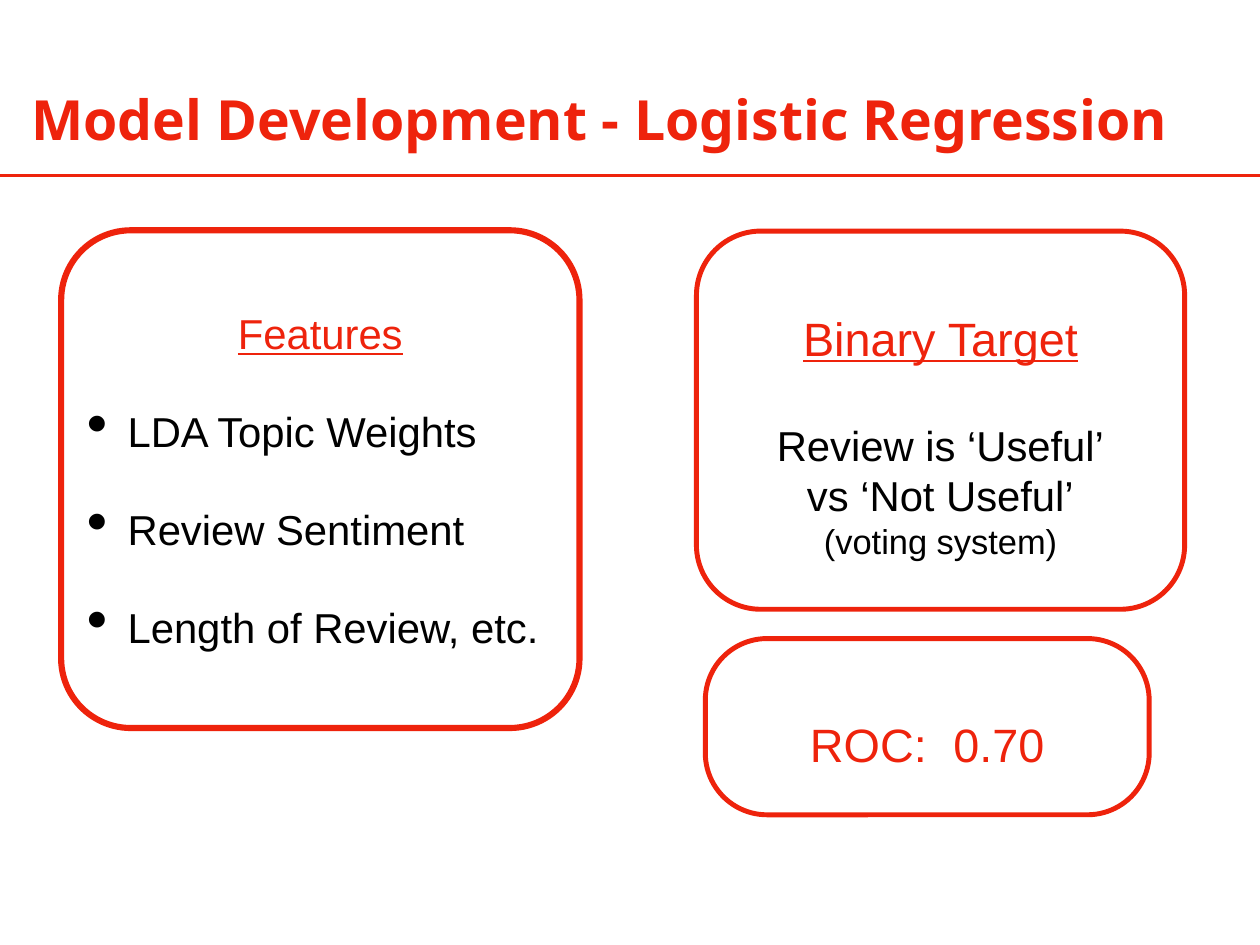
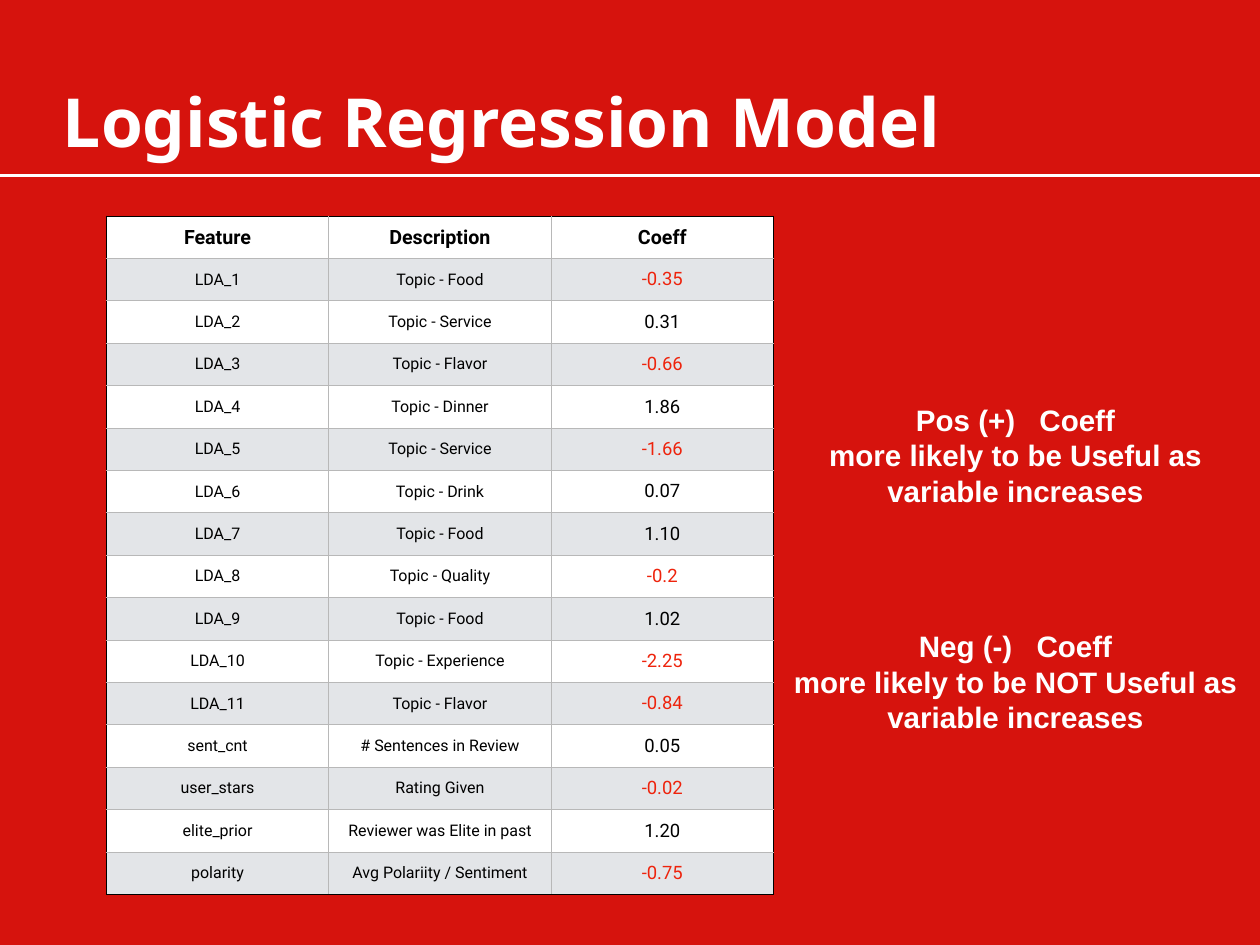
from dataclasses import dataclass

from lxml import etree
from pptx import Presentation
from pptx.dml.color import RGBColor
from pptx.enum.shapes import MSO_CONNECTOR, MSO_SHAPE
from pptx.enum.text import MSO_ANCHOR, PP_ALIGN
from pptx.oxml.ns import qn
from pptx.util import Pt

LEFT, CENTER = PP_ALIGN.LEFT, PP_ALIGN.CENTER
TOP, MIDDLE = MSO_ANCHOR.TOP, MSO_ANCHOR.MIDDLE
ROUND, STRAIGHT = MSO_SHAPE.ROUNDED_RECTANGLE, MSO_CONNECTOR.STRAIGHT

SCALE = 9144  # 100 px to the inch
WIDTH, HEIGHT = 1422, 1067
RULE_Y = 198
INSET = 6


@dataclass(frozen=True)
class Theme:
    red: str = "EE230C"
    deep: str = "D6130D"
    white: str = "FFFFFF"
    black: str = "000000"
    band: str = "E3E5E8"
    grid: str = "B8B8B8"
    head: str = "Noto Sans"
    body: str = "Arial"
    data: str = "Roboto"
    big: int = 38
    text: int = 34
    small: int = 28
    note: int = 24
    title: int = 45
    banner: int = 55
    header: int = 16
    coeff: int = 15
    cell: int = 13


T = Theme()

HEADER = ("Feature", "Description", "Coeff")
ROWS = (
    ("LDA_1", "Topic - Food", "-0.35"),
    ("LDA_2", "Topic - Service", "0.31"),
    ("LDA_3", "Topic - Flavor", "-0.66"),
    ("LDA_4", "Topic - Dinner", "1.86"),
    ("LDA_5", "Topic - Service", "-1.66"),
    ("LDA_6", "Topic - Drink", "0.07"),
    ("LDA_7", "Topic - Food", "1.10"),
    ("LDA_8", "Topic - Quality", "-0.2"),
    ("LDA_9", "Topic - Food", "1.02"),
    ("LDA_10", "Topic - Experience", "-2.25"),
    ("LDA_11", "Topic - Flavor", "-0.84"),
    ("sent_cnt", "# Sentences in Review", "0.05"),
    ("user_stars", "Rating Given", "-0.02"),
    ("elite_prior", "Reviewer was Elite in past", "1.20"),
    ("polarity", "Avg Polariity / Sentiment", "-0.75"),
)


def px(*vals):
    return [round(v * SCALE) for v in vals]


def rgb(code):
    return RGBColor.from_string(code)


def paint(fill, color):
    fill.solid()
    fill.fore_color.rgb = rgb(color)


def stroke(line, color, width):
    line.color.rgb = rgb(color)
    line.width = Pt(width)


def style(font, color, size, **extra):
    for key, val in {"size": Pt(size), **extra}.items():
        setattr(font, key, val)
    font.color.rgb = rgb(color)


def bullet(para, indent):
    """Hang a large round bullet in front of the paragraph."""
    props = para._p.get_or_add_pPr()
    (width,) = px(indent)
    props.set("marL", str(width))
    props.set("indent", str(-width))
    etree.SubElement(props, qn("a:buSzPct"), val="145000")
    etree.SubElement(props, qn("a:buChar"), char="•")


def write(frame, lines, align=CENTER, anchor=TOP, top=INSET):
    """Fill a frame from dicts; a tuple of words is set with a wide gap."""
    frame.word_wrap = True
    frame.vertical_anchor = anchor
    sides = {"left": INSET, "right": INSET, "top": top, "bottom": INSET}
    for side, val in sides.items():
        setattr(frame, "margin_" + side, px(val)[0])
    for i, line in enumerate(lines):
        fmt = dict(line)
        text, before = fmt.pop("text"), fmt.pop("before", 0)
        indent, gap = fmt.pop("indent", 0), fmt.pop("gap", 0)
        para = frame.add_paragraph() if i else frame.paragraphs[0]
        para.alignment = LEFT if indent else align
        if before:
            para.space_before = Pt(before)
        if indent:
            bullet(para, indent)
        parts = [text] if isinstance(text, str) else [text[0], " ", text[1]]
        for part in parts:
            run = para.add_run()
            run.text = part
            style(run.font, **fmt)
            if part == " ":
                run._r.get_or_add_rPr().set("spc", str(gap * 100))


def label(slide, box, lines, **opts):
    write(slide.shapes.add_textbox(*px(*box)).text_frame, lines, **opts)


def card(slide, box, bend, width, top, lines):
    shape = slide.shapes.add_shape(ROUND, *px(*box))
    shape.adjustments[0] = bend
    shape.shadow.inherit = False
    paint(shape.fill, T.white)
    stroke(shape.line, T.red, width)
    write(shape.text_frame, lines, top=top)


def page(deck, back, ink, title, size, box):
    """Add a slide with its background, title and full-width rule."""
    slide = deck.slides.add_slide(deck.slide_layouts[6])
    paint(slide.background.fill, back)
    line = dict(text=title, color=ink, size=size, name=T.head, bold=True)
    label(slide, box, [line], align=LEFT, anchor=MIDDLE)
    rule = slide.shapes.add_connector(STRAIGHT, *px(0, RULE_Y, WIDTH, RULE_Y))
    stroke(rule.line, ink, 3)
    etree.SubElement(rule._element.spPr, qn("a:effectLst"))
    return slide


def edge(cell, tag, color):
    line = etree.Element(qn("a:" + tag), w=str(Pt(1)))
    fill = etree.SubElement(line, qn("a:solidFill"))
    etree.SubElement(fill, qn("a:srgbClr"), val=color)
    return line


def border(cell, outer):
    """Draw four edges, those named in outer in black."""
    props = cell._tc.get_or_add_tcPr()
    for i, tag in enumerate(("lnL", "lnR", "lnT", "lnB")):
        props.insert(i, edge(cell, tag, T.black if tag in outer else T.grid))


def grid(slide, box, rows):
    last, end = len(rows) - 1, len(rows[0]) - 1
    table = slide.shapes.add_table(last + 1, end + 1, *px(*box)).table
    table.first_row = table.horz_banding = False
    for r, row in enumerate(rows):
        for c, text in enumerate(row):
            cell = table.cell(r, c)
            size = T.header if r == 0 else T.coeff if c == end else T.cell
            color = T.red if text.startswith("-") else T.black
            fmt = dict(text=text, color=color, size=size, name=T.data, bold=r == 0)
            write(cell.text_frame, [fmt])
            cell.vertical_anchor = MIDDLE
            cell.margin_left = cell.margin_right = px(7)[0]
            cell.margin_top = cell.margin_bottom = 0
            paint(cell.fill, T.band if r % 2 else T.white)
            sides = {"lnL": c == 0, "lnR": c == end, "lnT": r == 0, "lnB": r == last}
            border(cell, [tag for tag, on in sides.items() if on])


def setup(deck):
    slide = page(deck, T.white, T.red, "Model Development - Logistic Regression",
                 T.title, (29, 91, 1365, 85))
    head = dict(color=T.red, name=T.body)
    body = dict(color=T.black, size=T.text, name=T.body)
    items = ("LDA Topic Weights", "Review Sentiment", "Length of Review, etc.")
    card(slide, (69, 260, 585, 562), 0.14, 5, 64, [
        dict(head, text="Features", size=T.text, underline=True),
        *(dict(body, text=item, before=39, indent=46) for item in items),
    ])
    card(slide, (786, 261, 551, 427), 0.17, 4, 67, [
        dict(head, text="Binary Target", size=T.big, underline=True),
        dict(body, text="Review is ‘Useful’", before=44),
        dict(body, text="vs ‘Not Useful’"),
        dict(body, text="(voting system)", size=T.small),
    ])
    card(slide, (796, 721, 501, 199), 0.35, 4, 67, [
        dict(head, text=("ROC:", "0.70"), size=T.big, gap=11),
    ])


def model(deck):
    slide = page(deck, T.deep, T.white, "Logistic Regression Model",
                 T.banner, (65, 86, 1047, 101))
    grid(slide, (120, 244, 753, 766), (HEADER, *ROWS))
    fmt = dict(color=T.white, size=T.note, name=T.body, bold=True)
    notes = ((448, "Pos (+)", "Useful"), (704, "Neg (-)", "NOT Useful"))
    for top, sign, odds in notes:
        label(slide, (886, top, 520, 131), [
            dict(fmt, text=(sign, "Coeff"), gap=13),
            dict(fmt, text=f"more likely to be {odds} as"),
            dict(fmt, text="variable increases"),
        ], anchor=MIDDLE)


def main():
    deck = Presentation()
    deck.slide_width, deck.slide_height = px(WIDTH, HEIGHT)
    setup(deck)
    model(deck)
    deck.save("out.pptx")


if __name__ == "__main__":
    main()
